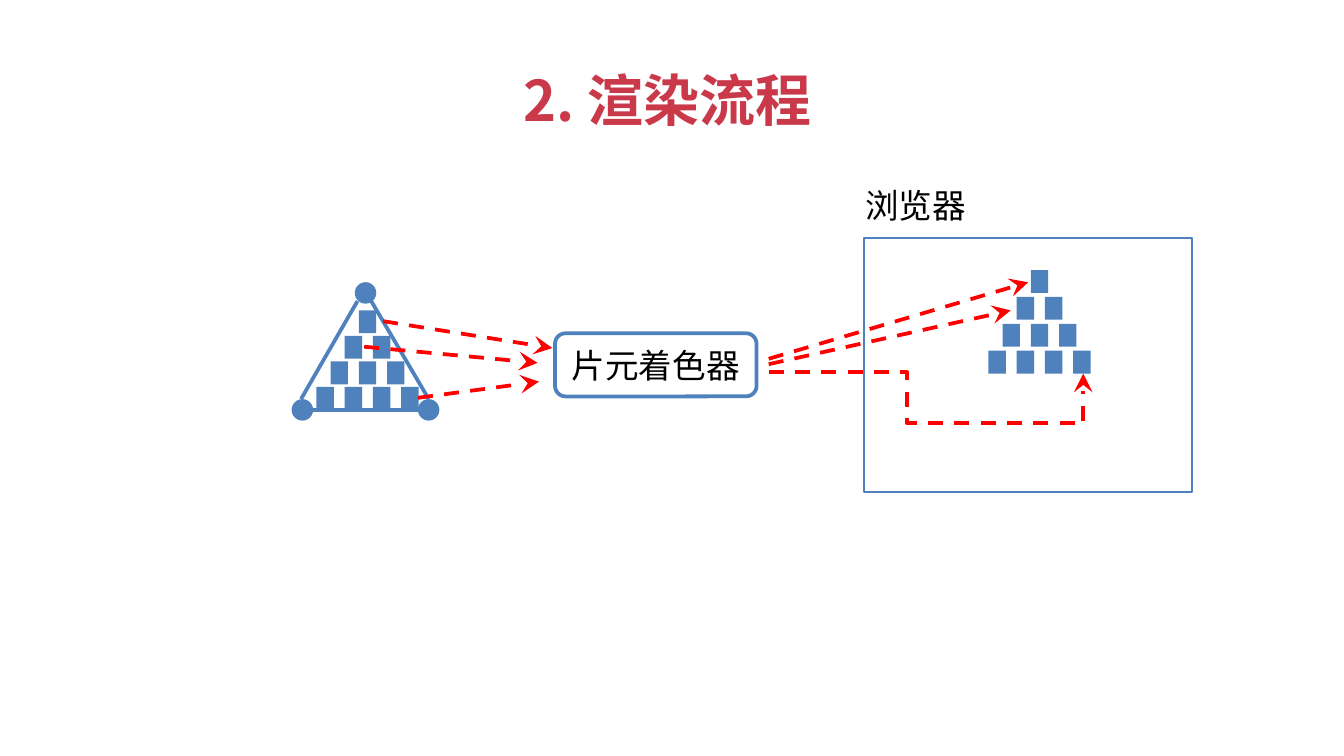
from dataclasses import dataclass

from lxml.etree import SubElement
from pptx import Presentation
from pptx.dml.color import RGBColor
from pptx.enum.dml import MSO_LINE_DASH_STYLE as Dash
from pptx.enum.shapes import MSO_CONNECTOR as Connector, MSO_SHAPE as Shape
from pptx.enum.text import MSO_ANCHOR as Anchor, MSO_AUTO_SIZE as AutoSize, PP_ALIGN as Align
from pptx.oxml.ns import qn
from pptx.util import Inches, Pt


@dataclass(frozen=True)
class Theme:
    blue: RGBColor = RGBColor(0x4F, 0x81, 0xBD)
    red: RGBColor = RGBColor(0xFF, 0x00, 0x00)
    title: RGBColor = RGBColor(0xC9, 0x39, 0x4A)
    text: RGBColor = RGBColor(0x00, 0x00, 0x00)
    title_size: Pt = Pt(30)
    title_line: Pt = Pt(36)
    label_size: Pt = Pt(18)
    stroke: Pt = Pt(2)
    thin: Pt = Pt(0.75)


@dataclass(frozen=True)
class Box:
    left: float
    top: float
    width: float
    height: float

    def lengths(self) -> tuple:
        return tuple(Inches(n) for n in (self.left, self.top, self.width, self.height))


@dataclass(frozen=True)
class Segment:
    start: tuple[float, float]
    end: tuple[float, float]


@dataclass(frozen=True)
class Pyramid:
    left: float
    top: float
    row_step: float
    column_step: float = 0.21
    rows: int = 4


THEME = Theme()


def add_solid(shapes, kind: Shape, box: Box) -> None:
    shape = shapes.add_shape(kind, *box.lengths())
    shape.shadow.inherit = False
    shape.fill.solid()
    shape.fill.fore_color.rgb = THEME.blue
    shape.line.fill.background()


def add_outline(shapes, kind: Shape, box: Box, width: Pt):
    shape = shapes.add_shape(kind, *box.lengths())
    shape.shadow.inherit = False
    shape.fill.background()
    shape.line.color.rgb = THEME.blue
    shape.line.width = width
    return shape


def add_pyramid(shapes, pyramid: Pyramid) -> None:
    for row in range(pyramid.rows):
        for column in range(row + 1):
            left = pyramid.left + (column - row / 2) * pyramid.column_step
            top = pyramid.top + row * pyramid.row_step
            add_solid(shapes, Shape.RECTANGLE, Box(left, top, 0.13, 0.17))


def add_line(shapes, segment: Segment):
    line = shapes.add_connector(
        Connector.STRAIGHT, *(Inches(n) for n in segment.start + segment.end))
    line.line.color.rgb = THEME.blue
    line.line.width = THEME.stroke
    SubElement(line._element.spPr, qn("a:effectLst"))
    return line


def make_arrow(shape) -> None:
    shape.line.color.rgb = THEME.red
    shape.line.width = THEME.stroke
    shape.line.dash_style = Dash.DASH
    SubElement(shape.line._get_or_add_ln(), qn("a:tailEnd"), type="stealth", w="lg", len="lg")


def style_text(paragraph, font_name: str, size: Pt, color: RGBColor, bold: bool = False) -> None:
    font = paragraph.font
    font.name, font.size, font.bold = font_name, size, bold
    font.color.rgb = color


def add_text(shapes, text: str, box: Box):
    frame = shapes.add_textbox(*box.lengths()).text_frame
    frame.word_wrap = True
    frame.auto_size = AutoSize.SHAPE_TO_FIT_TEXT
    frame.text = text
    return frame


def main() -> None:
    presentation = Presentation()
    presentation.slide_width = Inches(10)
    presentation.slide_height = presentation.slide_width * 9 // 16
    slide = presentation.slides.add_slide(presentation.slide_layouts[6])
    shapes = slide.shapes

    # Title, on two lines
    title = add_text(shapes, "2. 渲染流程", Box(3.77, 0.44, 2.39, 0.61))
    paragraph = title.paragraphs[0]
    paragraph.alignment = Align.CENTER
    paragraph.line_spacing = THEME.title_line
    style_text(paragraph, "Noto Sans CJK SC", THEME.title_size, THEME.title, bold=True)

    # Rasterised triangle: fragments, vertices and edges
    triangle = shapes.add_group_shape().shapes
    add_pyramid(triangle, Pyramid(2.67, 2.31, 0.19))
    for left, top in ((2.64, 2.1), (2.17, 2.97), (3.11, 2.97)):
        add_solid(triangle, Shape.OVAL, Box(left, top, 0.16, 0.16))
    for edge in (
        Segment((2.66, 2.24), (2.24, 2.97)),
        Segment((2.75, 2.22), (3.19, 2.97)),
        Segment((2.32, 3.05), (3.11, 3.05)),
    ):
        add_line(triangle, edge)

    # Fragment shader
    shader = add_outline(shapes, Shape.ROUNDED_RECTANGLE, Box(4.13, 2.48, 1.5, 0.47), THEME.stroke)
    frame = shader.text_frame
    frame.text = "片元着色器"
    frame.vertical_anchor = Anchor.MIDDLE
    frame.paragraphs[0].alignment = Align.CENTER
    style_text(frame.paragraphs[0], "Arial", THEME.label_size, THEME.text)

    # Browser window
    add_outline(shapes, Shape.RECTANGLE, Box(6.43, 1.77, 2.44, 1.89), THEME.thin)
    label = add_text(shapes, "浏览器", Box(6.34, 1.33, 1.3, 0.4))
    style_text(label.paragraphs[0], "Calibri", THEME.label_size, THEME.text)
    add_pyramid(shapes, Pyramid(7.67, 2.01, 0.2))

    # Arrows into and out of the shader
    for flow in (
        Segment((2.85, 2.39), (4.11, 2.59)),
        Segment((2.71, 2.58), (4, 2.7)),
        Segment((3.11, 2.96), (4.01, 2.84)),
        Segment((5.72, 2.67), (7.65, 2.1)),
        Segment((5.72, 2.71), (7.52, 2.31)),
    ):
        make_arrow(add_line(shapes, flow))

    # Bent arrow to the last pixel
    builder = shapes.build_freeform(Inches(5.72), Inches(2.77))
    bends = ((6.75, 2.77), (6.75, 3.15), (8.06, 3.15), (8.06, 2.78))
    builder.add_line_segments([(Inches(x), Inches(y)) for x, y in bends], close=False)
    bent_arrow = builder.convert_to_shape()
    bent_arrow.shadow.inherit = False
    bent_arrow.fill.background()
    make_arrow(bent_arrow)

    presentation.save("out.pptx")


if __name__ == "__main__":
    main()
